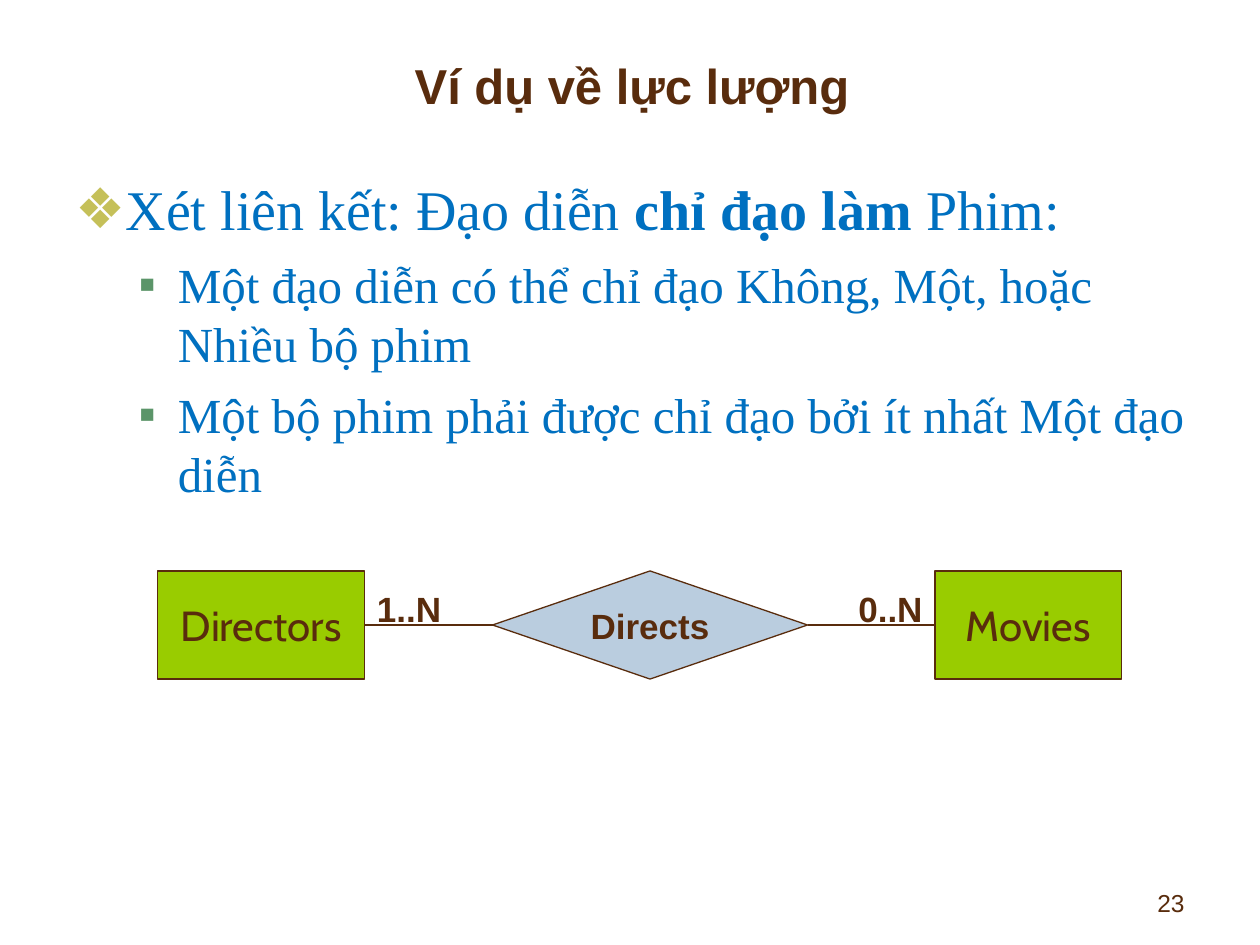
from lxml import etree
from pptx import Presentation
from pptx.dml.color import RGBColor
from pptx.enum import shapes, text
from pptx.oxml.ns import qn
from pptx.util import Cm, Pt

BROWN, BLUE, GREEN, STEEL = "592C0D", "0070C0", "99CC00", "BACDDF"
LEFT, CENTER, RIGHT = text.PP_ALIGN.LEFT, text.PP_ALIGN.CENTER, text.PP_ALIGN.RIGHT

HEADING = "Ví dụ về lực lượng"
POINTS = [
    (0, [("Xét liên kết: Đạo diễn ", False), ("chỉ đạo làm ", True), ("Phim:", False)]),
    (1, [("Một đạo diễn có thể chỉ đạo Không, Một, hoặc Nhiều bộ phim", False)]),
    (1, [("Một bộ phim phải được chỉ đạo bởi ít nhất Một đạo diễn", False)]),
]
LEVELS = [
    {"size": 32, "margin": 0.95, "hang": 0.95, "before": 8, "bullet": "❖", "tint": "C5C059"},
    {"size": 28, "margin": 2.06, "hang": 0.79, "before": 7, "bullet": "▪", "tint": "5B9569"},
]
RECT, DECISION = shapes.MSO_SHAPE.RECTANGLE, shapes.MSO_SHAPE.FLOWCHART_DECISION
NODES = [
    ("Directors", RECT, 3.18, 4.17, GREEN, ("Cabin", 24, False)),
    ("Directs", DECISION, 9.93, 6.35, STEEL, ("Arial", 20, True)),
    ("Movies", RECT, 18.85, 3.76, GREEN, ("Cabin", 24, False)),
]
NODE_TOP, NODE_HEIGHT = 11.51, 2.18
LABEL_TOP, LABEL_WIDTH, LABEL_HEIGHT = 11.71, 2.39, 1.12


def rgb(code):
    return RGBColor.from_string(code)


def style(run, face, size, bold, color=BROWN):
    run.font.name, run.font.size, run.font.bold = face, Pt(size), bold
    run.font.color.rgb = rgb(color)


def place(part, left, top, width, height):
    part.left, part.top, part.width, part.height = map(Cm, (left, top, width, height))


def write(part, words, face, size, bold, align, wrap=True):
    frame = part.text_frame
    frame.text = words
    frame.word_wrap = wrap
    frame.paragraphs[0].alignment = align
    style(frame.paragraphs[0].runs[0], face, size, bold)


def add_bullet(paragraph, level):
    props = paragraph._p.get_or_add_pPr()
    props.set("marL", str(Cm(level["margin"])))
    props.set("indent", str(-Cm(level["hang"])))
    tint = etree.SubElement(props, qn("a:buClr"))
    etree.SubElement(tint, qn("a:srgbClr"), val=level["tint"])
    etree.SubElement(props, qn("a:buFont"), typeface="Arial")
    etree.SubElement(props, qn("a:buChar"), char=level["bullet"])


def add_label(slide, words, left, top, width, height, size, bold, align):
    label = slide.shapes.add_textbox(*map(Cm, (left, top, width, height)))
    write(label, words, "Arial", size, bold, align)


def add_node(slide, name, kind, left, width, fill, font):
    node = slide.shapes.add_shape(kind, *map(Cm, (left, NODE_TOP, width, NODE_HEIGHT)))
    node.shadow.inherit = False
    node.fill.solid()
    node.fill.fore_color.rgb = rgb(fill)
    node.line.color.rgb = rgb(BROWN)
    node.line.width = Pt(0.75)
    write(node, name, *font, CENTER, wrap=kind == DECISION)
    node.text_frame.vertical_anchor = text.MSO_ANCHOR.MIDDLE
    return node


def add_link(slide, start, end):
    link = slide.shapes.add_connector(shapes.MSO_CONNECTOR.STRAIGHT, 0, 0, 0, 0)
    link.begin_connect(start, 3)
    link.end_connect(end, 1)
    link.line.color.rgb = rgb(BROWN)
    link.line.width = Pt(0.75)
    etree.SubElement(link._element.spPr, qn("a:effectLst"))


def fill_points(body):
    frame = body.text_frame
    frame.auto_size = text.MSO_AUTO_SIZE.NONE
    for index, (depth, pieces) in enumerate(POINTS):
        point = frame.add_paragraph() if index else frame.paragraphs[0]
        level = LEVELS[depth]
        point.level = depth
        add_bullet(point, level)
        point.space_before = Pt(level["before"] if index else 0)
        for words, bold in pieces:
            run = point.add_run()
            run.text = words
            style(run, "Times New Roman", level["size"], bold, BLUE)


def main():
    deck = Presentation()
    deck.slide_width, deck.slide_height = Cm(25.4), Cm(19.05)
    slide = deck.slides.add_slide(deck.slide_layouts[1])
    title, body = slide.placeholders
    place(title, 1.27, 0.64, 22.94, 2.13)
    write(title, HEADING, "Arial", 28, True, CENTER)
    title.text_frame.vertical_anchor = text.MSO_ANCHOR.MIDDLE
    place(body, 1.27, 3.4, 22.94, 14.15)
    fill_points(body)

    directors, directs, movies = [add_node(slide, *node) for node in NODES]
    add_link(slide, directors, directs)
    add_link(slide, directs, movies)

    after_directors = NODES[0][2] + NODES[0][3]
    before_movies = NODES[2][2] - LABEL_WIDTH
    for words, left, align in [("1..N", after_directors, LEFT), ("0..N", before_movies, RIGHT)]:
        add_label(slide, words, left, LABEL_TOP, LABEL_WIDTH, LABEL_HEIGHT, 20, True, align)
    add_label(slide, "23", 18.21, 17.78, 5.92, 0.89, 14, False, RIGHT)
    deck.save("out.pptx")


if __name__ == "__main__":
    main()
